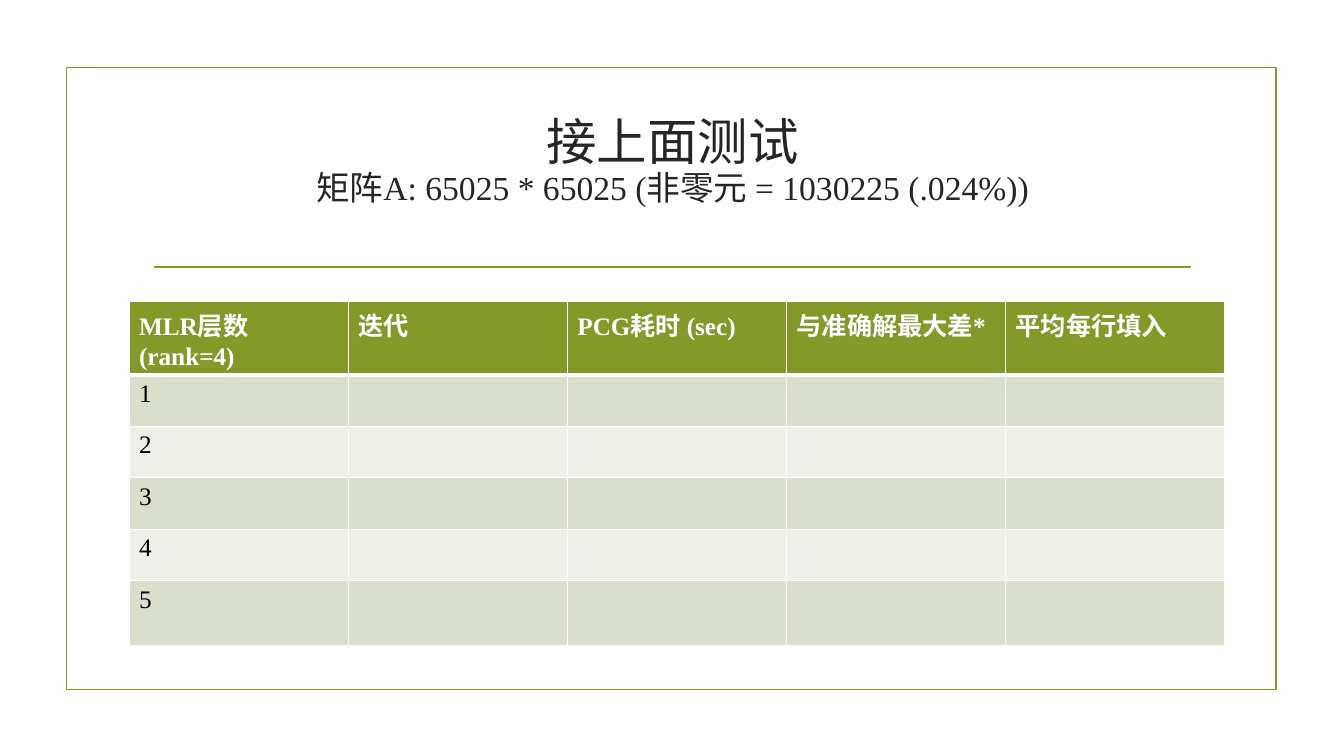
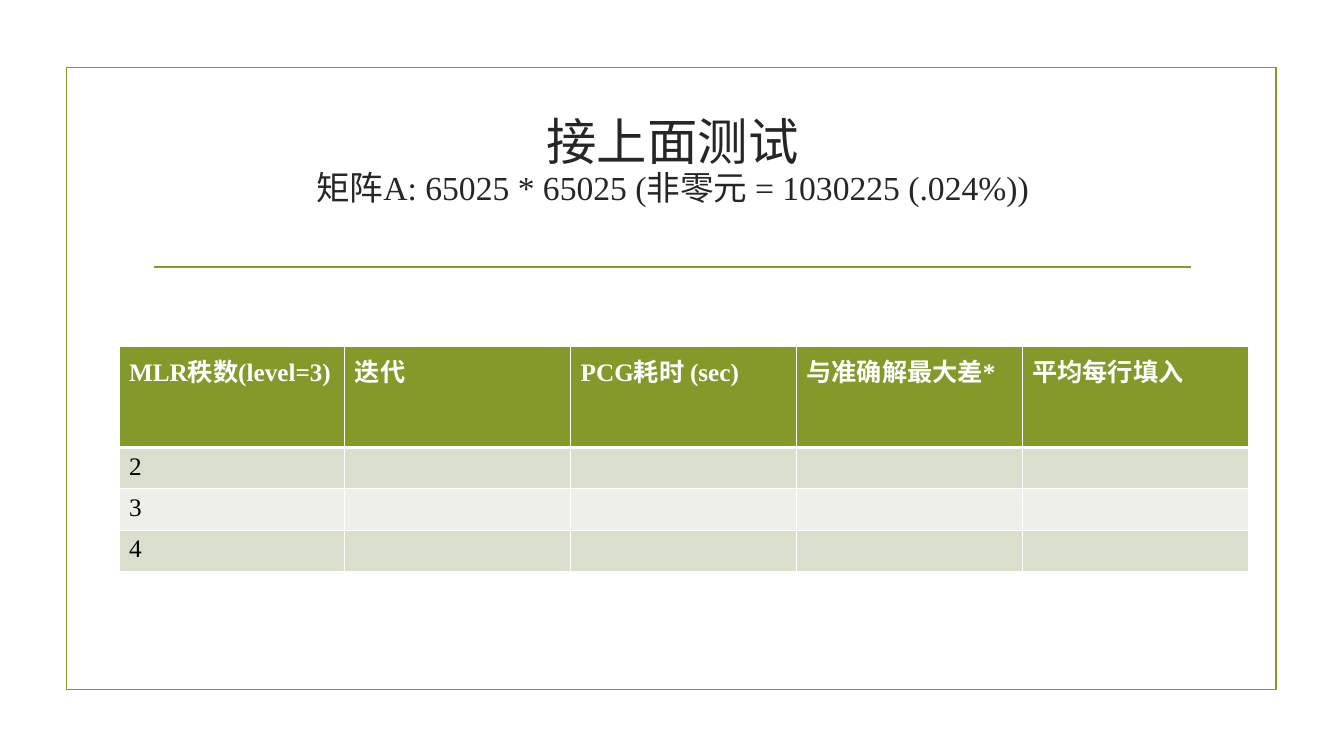
from dataclasses import dataclass

from lxml import etree
from pptx import Presentation
from pptx.dml.color import RGBColor
from pptx.enum import shapes, text
from pptx.oxml import ns
from pptx.util import Inches, Pt


@dataclass(frozen=True)
class Theme:
    """Colours, type and line weights shared by the slides."""
    accent: str = "83992A"
    ink: str = "262626"
    body_ink: str = "000000"
    white: str = "FFFFFF"
    bands: tuple = ("D9DECD", "EDEFE8")
    font: str = "Times New Roman"
    title_size: int = 36
    subtitle_size: int = 24
    table_size: int = 18
    rule_width: float = 1.25
    grid_width: int = 1
    header_rule_width: int = 3


THEME = Theme()
TITLE = "接上面测试"
SUBTITLE = "矩阵A: 65025 * 65025 (非零元 = 1030225 (.024%))"
MEASURES = ["迭代", "PCG耗时 (sec)", "与准确解最大差*", "平均每行填入"]


def rgb(value):
    """Turn a hex string into a colour."""
    return RGBColor.from_string(value)


def add_run(paragraph, wording, size, color, bold=False):
    """Append one styled run to a paragraph."""
    run = paragraph.add_run()
    run.text = wording
    run.font.name = THEME.font
    run.font.size = Pt(size)
    run.font.bold = bold
    run.font.color.rgb = rgb(color)


def style_line(line):
    """Give an outline the accent colour and weight."""
    line.color.rgb = rgb(THEME.accent)
    line.width = Pt(THEME.rule_width)


def add_frame(slide):
    """Draw the page border and the rule below the title."""
    border = slide.shapes.add_shape(
        shapes.MSO_SHAPE.RECTANGLE, Inches(0.66), Inches(0.67), Inches(12), Inches(6.17))
    border.shadow.inherit = False
    border.fill.background()
    style_line(border.line)

    rule = slide.shapes.add_connector(
        shapes.MSO_CONNECTOR.STRAIGHT, Inches(1.53), Inches(2.65), Inches(11.81), Inches(2.65))
    style_line(rule.line)
    etree.SubElement(rule._element.spPr, ns.qn("a:effectLst"))


def add_title(slide):
    """Write the centred title with its subtitle line."""
    frame = slide.shapes.add_textbox(
        Inches(1.42), Inches(1.07), Inches(10.5), Inches(1.43)).text_frame
    frame.word_wrap = True
    frame.vertical_anchor = text.MSO_ANCHOR.MIDDLE
    frame.margin_bottom = Inches(0.39)
    heading = frame.paragraphs[0]
    heading.alignment = text.PP_ALIGN.CENTER
    heading.line_spacing = 0.9
    add_run(heading, TITLE, THEME.title_size, THEME.ink)
    heading.add_line_break()
    add_run(heading, SUBTITLE, THEME.subtitle_size, THEME.ink)


def set_borders(cell, top, bottom):
    """Draw white cell borders with the given top and bottom weights."""
    properties = cell._tc.get_or_add_tcPr()
    weights = {"lnL": THEME.grid_width, "lnR": THEME.grid_width, "lnT": top, "lnB": bottom}
    for edge, weight in weights.items():
        line = etree.SubElement(properties, ns.qn(f"a:{edge}"), w=str(Pt(weight)))
        fill = etree.SubElement(line, ns.qn("a:solidFill"))
        etree.SubElement(fill, ns.qn("a:srgbClr"), val=THEME.white)


def fill_cell(cell, row, wording):
    """Style a cell by its row and write its text."""
    is_header = row == 0
    thin, thick = THEME.grid_width, THEME.header_rule_width
    set_borders(cell, thick if row == 1 else thin, thick if is_header else thin)
    cell.fill.solid()
    cell.fill.fore_color.rgb = rgb(THEME.accent if is_header else THEME.bands[(row - 1) % 2])
    if wording:
        add_run(cell.text_frame.paragraphs[0], wording, THEME.table_size,
                THEME.white if is_header else THEME.body_ink, is_header)


def add_results(slide, left, top, width, heights, parameter, levels):
    """Add the results table with one row per parameter level."""
    headers = [parameter] + MEASURES
    rows = [headers] + [[level] + [""] * len(MEASURES) for level in levels]
    table = slide.shapes.add_table(
        len(rows), len(headers), Inches(left), Inches(top),
        Inches(width), Inches(sum(heights))).table
    for column in table.columns:
        column.width = Inches(width / len(headers))
    for index, (height, entries) in enumerate(zip(heights, rows)):
        table.rows[index].height = Inches(height)
        for column, wording in enumerate(entries):
            fill_cell(table.cell(index, column), index, wording)


def add_test_slide(deck, **results):
    """Add one test slide with the shared frame and title."""
    slide = deck.slides.add_slide(deck.slide_layouts[6])
    add_frame(slide)
    add_title(slide)
    add_results(slide, **results)


def main():
    """Build and save the deck."""
    deck = Presentation()
    deck.slide_width = Inches(13.33)
    deck.slide_height = Inches(7.5)
    add_test_slide(deck, left=1.28, top=2.99, width=10.87,
                   heights=[0.73] + [0.51] * 4 + [0.65],
                   parameter="MLR层数(rank=4)", levels="12345")
    add_test_slide(deck, left=1.18, top=3.44, width=11.2,
                   heights=[1.0] + [0.41] * 3,
                   parameter="MLR秩数(level=3)", levels="234")
    deck.save("out.pptx")


if __name__ == "__main__":
    main()
